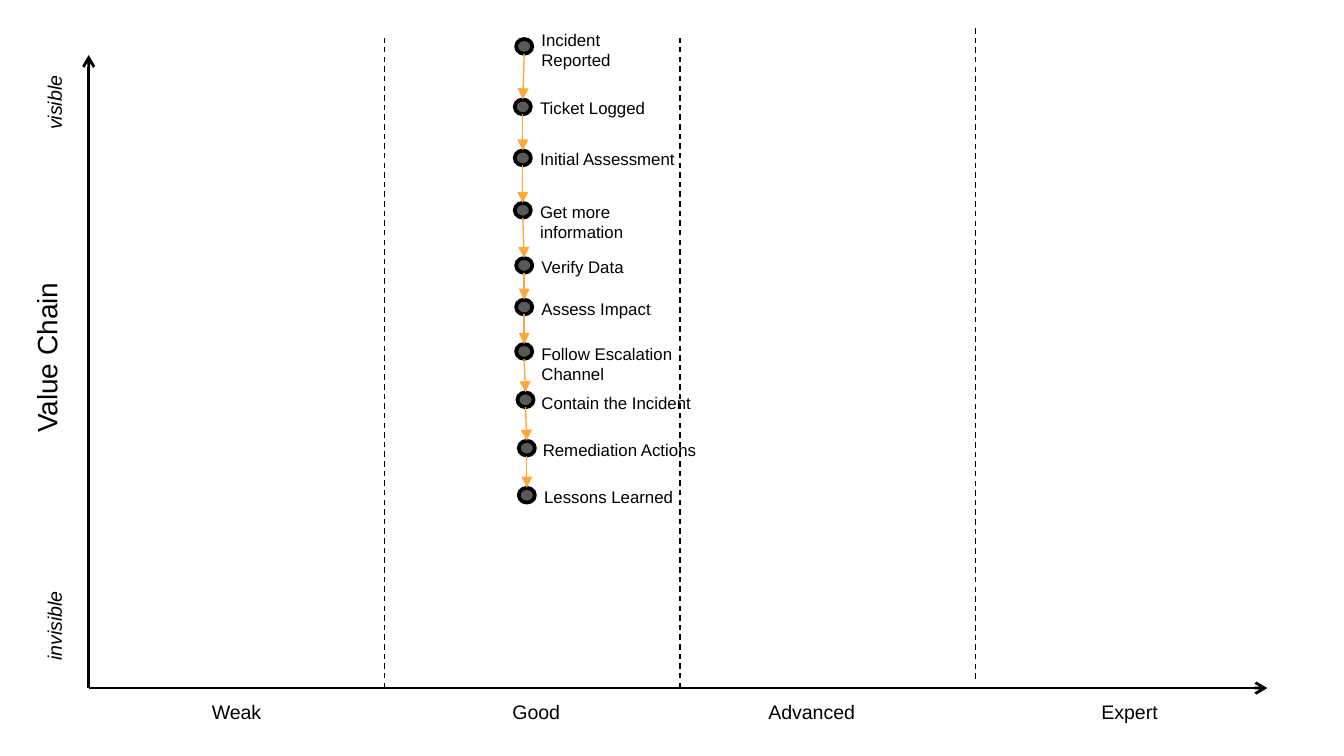
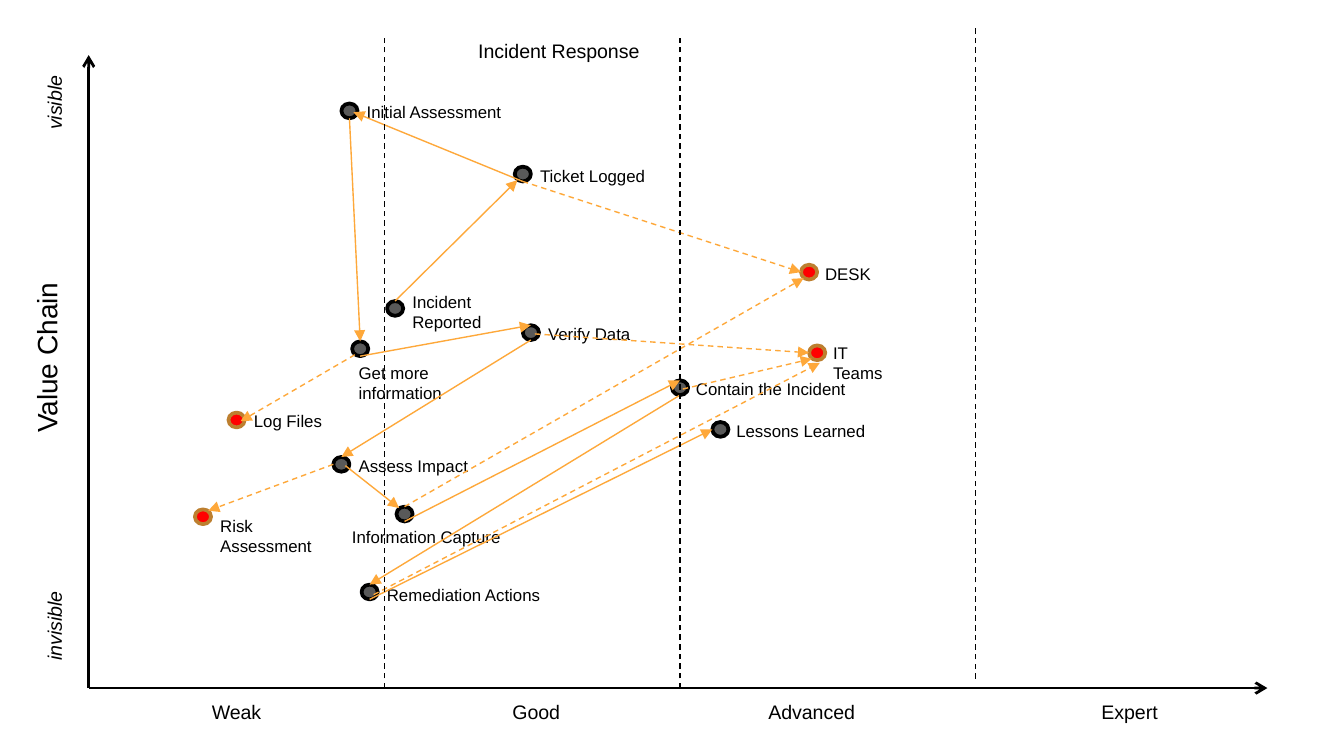
from dataclasses import dataclass

from pptx import Presentation
from pptx import util as u
from pptx.dml.color import RGBColor
from pptx.enum import dml, shapes, text
from pptx.oxml import ns
from lxml import etree

PX = 9144
SLIDE_WIDTH = 1000 * PX
SLIDE_HEIGHT = SLIDE_WIDTH * 9 // 16


@dataclass(frozen=True)
class Theme:
    font: str = "Arial"
    ink: RGBColor = RGBColor(0, 0, 0)
    paper: RGBColor = RGBColor(255, 255, 255)
    step: RGBColor = RGBColor(0x59, 0x59, 0x59)
    resource: RGBColor = RGBColor(0xFF, 0, 0)
    resource_edge: RGBColor = RGBColor(0xBD, 0x7F, 0x2F)
    flow: RGBColor = RGBColor(0xFE, 0xA8, 0x3A)
    title_size: float = 15
    axis_size: float = 10.5
    node_size: float = 9
    axis_width: float = 1.5
    thin_width: float = 0.75
    node_width: float = 2


theme = Theme()


def write_text(shape, content, size, wrap=True, italic=False, align=text.PP_ALIGN.LEFT):
    frame = shape.text_frame
    frame.word_wrap = wrap
    frame.auto_size = text.MSO_AUTO_SIZE.SHAPE_TO_FIT_TEXT
    frame.vertical_anchor = text.MSO_ANCHOR.TOP
    paragraph = frame.paragraphs[0]
    paragraph.text = content
    paragraph.alignment = align
    paragraph.font.name = theme.font
    paragraph.font.size = u.Pt(size)
    paragraph.font.italic = italic
    paragraph.font.color.rgb = theme.ink


def add_line(container, start, end, color, width, dashed=False, arrow=None):
    connector = container.add_connector(
        shapes.MSO_CONNECTOR.STRAIGHT, *(round(value * PX) for value in (*start, *end)))
    connector.line.color.rgb = color
    connector.line.width = u.Pt(width)
    if dashed:
        connector.line.dash_style = dml.MSO_LINE.DASH
    properties = connector.element.spPr
    if arrow:
        outline = properties.find(ns.qn("a:ln"))
        etree.SubElement(outline, ns.qn("a:tailEnd"), type=arrow)
    etree.SubElement(properties, ns.qn("a:effectLst"))


NODE_WIDTH, NODE_HEIGHT = 12, 11
LINE_HEIGHT, LABEL_PADDING = 15, 10
SITES = {
    "top": (6, 0), "bottom": (6, 11), "left": (0, 5.5),
    "top left": (2, 1), "top right": (10, 1), "bottom left": (2, 10),
}

chain_steps = [
    ("Incident Reported", 384, 29, 73, 2, (9, -12)),
    ("Ticket Logged", 383, 74, 99, 1, (9, -6)),
    ("Initial Assessment", 383, 112, 129, 1, (9, -6)),
    ("Get more information", 383, 151, 129, 2, (9, -6)),
    ("Verify Data", 384, 192, 129, 1, (9, -6)),
    ("Assess Impact", 384, 223, 129, 1, (9, -6)),
    ("Follow Escalation Channel", 384, 256, 159, 2, (9, -5)),
    ("Contain the Incident", 385, 292, 159, 1, (8, -5)),
    ("Remediation Actions", 386, 328, 159, 1, (8, -6)),
    ("Lessons Learned", 386, 363, 159, 1, (9, -6)),
]
chain_links = [
    (first[0], "bottom", second[0], "top", False)
    for first, second in zip(chain_steps, chain_steps[1:])
]

map_steps = [
    ("Incident Reported", 288, 224, 73, 2, (9, -12)),
    ("Initial Assessment", 254, 77, 129, 1, (9, -6)),
    ("Ticket Logged", 383, 124, 99, 1, (9, -6)),
    ("Get more information", 262, 254, 129, 2, (-5, 11)),
    ("Verify Data", 389, 242, 129, 1, (9, -6)),
    ("Assess Impact", 248, 340, 129, 1, (9, -6)),
    ("Information Capture", 295, 377, 159, 1, (-43, 10)),
    ("Contain the Incident", 500, 283, 159, 1, (8, -6)),
    ("Remediation Actions", 269, 435, 159, 1, (9, -5)),
    ("Lessons Learned", 530, 314, 159, 1, (8, -6)),
]
map_resources = [
    ("DESK", 596, 197, 159, 1, (8, -6)),
    ("Log Files", 170, 307, 159, 1, (9, -6)),
    ("IT Teams", 602, 257, 70, 2, (8, -7)),
    ("Risk Assessment", 145, 379, 104, 2, (9, 0)),
]
map_links = [
    ("Incident Reported", "top", "Ticket Logged", "bottom left", False),
    ("Ticket Logged", "bottom", "Initial Assessment", "label", False),
    ("Initial Assessment", "bottom", "Get more information", "top", False),
    ("Get more information", "bottom", "Verify Data", "top", False),
    ("Verify Data", "bottom", "Assess Impact", "top", False),
    ("Assess Impact", "label", "Information Capture", "top left", False),
    ("Information Capture", "bottom", "Contain the Incident", "top", False),
    ("Contain the Incident", "bottom", "Remediation Actions", "top", False),
    ("Remediation Actions", "bottom", "Lessons Learned", "left", False),
    ("Ticket Logged", "bottom", "DESK", "left", True),
    ("Get more information", "bottom left", "Log Files", "label", True),
    ("Verify Data", "label", "IT Teams", "left", True),
    ("Assess Impact", "left", "Risk Assessment", "top right", True),
    ("Information Capture", "top", "DESK", "bottom left", True),
    ("Contain the Incident", "label", "IT Teams", "bottom left", True),
    ("Remediation Actions", "label", "IT Teams", "label", True),
]

ORIGIN = (66, 512)
axis_ends = [(66, 41), (943, 512)]
dividers = [(286, 512, 28), (506, 512, 28), (726, 505, 21)]
side_labels = [
    ("Value Chain", (-33, 247, 135, 35), theme.title_size, False),
    ("visible", (10, 62, 61, 28), theme.axis_size, True),
    ("invisible", (4, 451, 73, 28), theme.axis_size, True),
]
stages = [("Weak", 127, 98), ("Good", 350, 98), ("Advanced", 532, 144), ("Expert", 753, 175)]

presentation = Presentation()
presentation.slide_width = SLIDE_WIDTH
presentation.slide_height = SLIDE_HEIGHT

for title, steps, resources, links in [
    (None, chain_steps, [], chain_links),
    ("Incident Response", map_steps, map_resources, map_links),
]:
    slide = presentation.slides.add_slide(presentation.slide_layouts[6])
    if title:
        heading = slide.shapes.add_textbox(346 * PX, 24 * PX, 175 * PX, 28 * PX)
        write_text(heading, title, theme.axis_size)

    anchors = {}
    for nodes, fill, edge in [
        (steps, theme.step, theme.ink),
        (resources, theme.resource, theme.resource_edge),
    ]:
        for name, left, top, width, lines, (shift_x, shift_y) in nodes:
            group = slide.shapes.add_group_shape().shapes
            dot = group.add_shape(shapes.MSO_SHAPE.OVAL, left * PX, top * PX,
                                  NODE_WIDTH * PX, NODE_HEIGHT * PX)
            dot.shadow.inherit = False
            dot.fill.solid()
            dot.fill.fore_color.rgb = fill
            dot.line.color.rgb = edge
            dot.line.width = u.Pt(theme.node_width)
            height = LABEL_PADDING + LINE_HEIGHT * lines
            label = group.add_textbox((left + shift_x) * PX, (top + shift_y) * PX,
                                      width * PX, height * PX)
            write_text(label, name, theme.node_size)
            for site, (x, y) in SITES.items():
                anchors[name, site] = (left + x, top + y)
            anchors[name, "label"] = (left + shift_x, top + shift_y + height / 2)

    for source, source_site, target, target_site, dashed in links:
        add_line(slide.shapes, anchors[source, source_site], anchors[target, target_site],
                 theme.flow, theme.thin_width, dashed, "triangle")

    axes = slide.shapes.add_group_shape().shapes
    for end in axis_ends:
        add_line(axes, ORIGIN, end, theme.ink, theme.axis_width, arrow="arrow")
    for content, box, size, italic in side_labels:
        side_label = axes.add_textbox(*(value * PX for value in box))
        side_label.rotation = 270
        write_text(side_label, content, size, wrap=False, italic=italic)
    for x, bottom, top in dividers:
        add_line(axes, (x, bottom), (x, top), theme.ink, theme.thin_width, dashed=True)

    for content, left, width in stages:
        stage = slide.shapes.add_shape(shapes.MSO_SHAPE.RECTANGLE, left * PX, 516 * PX,
                                       width * PX, 28 * PX)
        stage.shadow.inherit = False
        stage.fill.solid()
        stage.fill.fore_color.rgb = theme.paper
        stage.line.fill.background()
        write_text(stage, content, theme.axis_size, align=text.PP_ALIGN.CENTER)

presentation.save("out.pptx")
